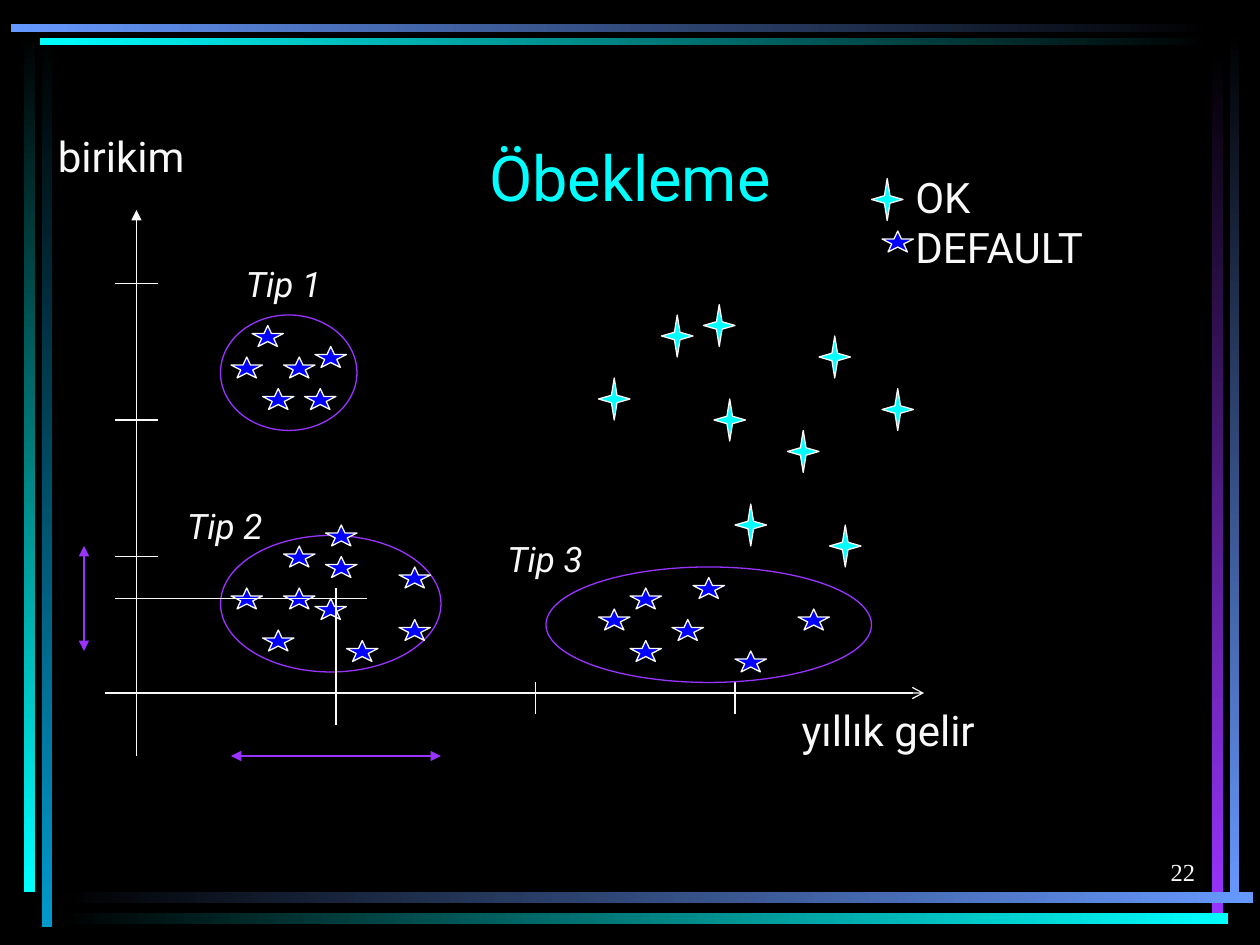
from lxml import etree
from pptx import Presentation
from pptx import util as u
from pptx.dml.color import RGBColor
from pptx.enum import shapes, text
from pptx.oxml import ns

COLORS = {
    "black": "000000", "white": "F8F8F8", "cyan": "00FFFF", "teal": "0099CC",
    "sky": "6699FF", "purple": "9933FF", "blue": "0000FF",
}
GRID = 6  # points per grid step of the plot
STAR = shapes.MSO_SHAPE.STAR_5_POINT
SPARK = shapes.MSO_SHAPE.STAR_4_POINT
MARKERS = {"default": (STAR, 3, 2, "blue"), "ok": (SPARK, 3, 4, "cyan")}

# Grid positions relative to the plot's top left corner:
# ellipse, label box in points, label, stars
CLUSTERS = [
    ((11, 10, 13, 11), (61, 26, 82, 32), "Tip 1",
     [(14, 11), (15, 17), (17, 14), (19, 17), (12, 14), (20, 13)]),
    ((11, 31, 21, 13), (5, 164, 127, 32), "Tip 2",
     [(21, 30), (21, 33), (15, 40), (17, 36), (12, 36), (20, 37),
      (17, 32), (28, 34), (28, 39), (23, 41)]),
    ((42, 34, 31, 11), (206, 181, 91, 36), "Tip 3",
     [(47, 38), (60, 42), (66, 38), (50, 41), (50, 36), (56, 35), (54, 39)]),
]
OK_POINTS = [(57, 9), (47, 16), (60, 28), (68, 12), (58, 18),
             (74, 17), (53, 10), (65, 21), (69, 30)]


def rgb(name):
    return RGBColor.from_string(COLORS[name])


def add_preset(slide, kind, box, fill=None, line=None):
    shape = slide.shapes.add_shape(kind, *[u.Pt(value) for value in box])
    shape.shadow.inherit = False
    if fill:
        shape.fill.solid()
        shape.fill.fore_color.rgb = rgb(fill)
    else:
        shape.fill.background()
    if line:
        shape.line.color.rgb = rgb(line)
        shape.line.width = u.Pt(0.75)
    else:
        shape.line.fill.background()
    return shape


def add_line(slide, start, end, color="white", head=None, tail=None):
    connector = slide.shapes.add_connector(
        shapes.MSO_CONNECTOR.STRAIGHT, *[u.Pt(value) for value in (*start, *end)])
    connector.line.color.rgb = rgb(color)
    connector.line.width = u.Pt(0.75)
    outline = connector.line._get_or_add_ln()
    for tag, arrow in (("a:headEnd", head), ("a:tailEnd", tail)):
        if arrow:
            etree.SubElement(outline, ns.qn(tag), type=arrow)
    etree.SubElement(connector._element.spPr, ns.qn("a:effectLst"))


def add_text(slide, box, lines, size, color="white", font="Roboto", italic=False,
             align=text.PP_ALIGN.LEFT, anchor=text.MSO_ANCHOR.MIDDLE, wrap=True):
    frame = slide.shapes.add_textbox(*[u.Pt(value) for value in box]).text_frame
    frame.word_wrap = wrap
    frame.vertical_anchor = anchor
    frame.text = "\n".join(lines)
    for paragraph in frame.paragraphs:
        paragraph.alignment = align
        paragraph.font.name = font
        paragraph.font.size = u.Pt(size)
        paragraph.font.italic = italic
        paragraph.font.color.rgb = rgb(color)


def add_marker(slide, kind, left, top):
    preset, width, height, fill = MARKERS[kind]
    add_preset(slide, preset, (left, top, width * GRID, height * GRID), fill, "white")


def draw_frame(slide, width, height):
    """Fading bars along the four edges of the slide."""
    bars = [  # box, first colour, last colour
        ((24, 20, 6, 510), "black", "teal"),
        ((14, 18, 6, 492), "black", "cyan"),
        ((width - 17, 17, 5, 499), "black", "sky"),
        ((width - 27.5, 30, 6.5, 492), "black", "purple"),
        ((32, height - 30, 684, 6), "black", "sky"),
        ((32, height - 18, 670, 6), "black", "cyan"),
        ((23, 22, 671, 4), "cyan", "black"),
        ((6, 13.5, 688, 5), "sky", "black"),
    ]
    for box, first, last in bars:
        fill = add_preset(slide, shapes.MSO_SHAPE.RECTANGLE, box).fill
        fill.gradient()
        fill.gradient_angle = 270 if box[3] > box[2] else 0
        for stop, color in zip(fill.gradient_stops, (first, last)):
            stop.color.rgb = rgb(color)


def draw_plot(slide, left, top, columns, rows):
    """Axes, clusters and single points of the scatter plot."""
    def place(column, row):
        return left + column * GRID, top + row * GRID

    def rule(start, end, **style):
        add_line(slide, place(*start), place(*end), **style)

    def label(box, words, size, **style):
        add_text(slide, (left + box[0], top + box[1], *box[2:]), [words], size, **style)

    # Axes with their ticks and names
    axis_column, axis_row = 3, 46
    rule((axis_column, 0), (axis_column, rows), head="triangle")
    rule((0, axis_row), (columns, axis_row), tail="arrow")
    for row in (7, 20, 33):
        rule((axis_column - 2, row), (axis_column + 2, row))
    for column in (22, 41, 60):
        rule((column, axis_row - 1), (column, axis_row + 2))
    label((-34, -49, 93, 36), "birikim", 24, wrap=False)
    label((391, 279, 121, 36), "yıllık gelir", 24, wrap=False)

    # Clusters of defaults
    for (column, row, wide, high), label_box, name, stars in CLUSTERS:
        add_preset(slide, shapes.MSO_SHAPE.OVAL,
                   (*place(column, row), wide * GRID, high * GRID), line="purple")
        for star in stars:
            add_marker(slide, "default", *place(*star))
        label(label_box, name, 20, italic=True, align=text.PP_ALIGN.CENTER)

    # Good customers
    for point in OK_POINTS:
        add_marker(slide, "ok", *place(*point))

    # Centre and range of the second cluster
    rule((1, 37), (25, 37))
    rule((22, 36), (22, 49))
    for start, end in (((12, 52), (32, 52)), ((-2, 32), (-2, 42))):
        rule(start, end, color="purple", head="triangle", tail="triangle")


def draw_legend(slide, left, top):
    add_text(slide, (left + 18, top, 117, 65), ["OK", "DEFAULT"], 24, wrap=False)
    add_marker(slide, "ok", left, top + 8)
    add_marker(slide, "default", left + 6, top + 38)


def main():
    presentation = Presentation()
    presentation.slide_width, presentation.slide_height = u.Pt(720), u.Pt(540)
    slide = presentation.slides.add_slide(presentation.slide_layouts[6])
    slide.background.fill.solid()
    slide.background.fill.fore_color.rgb = rgb("black")

    draw_frame(slide, 720, 540)
    add_text(slide, (54, 48, 612, 78), ["Öbekleme"], 36, color="cyan",
             align=text.PP_ALIGN.CENTER, anchor=text.MSO_ANCHOR.BOTTOM)
    draw_plot(slide, 60, 120, 78, 52)
    draw_legend(slide, 498, 94)
    add_text(slide, (540, 474, 150, 36), ["22"], 14, font="Times New Roman",
             align=text.PP_ALIGN.RIGHT, anchor=text.MSO_ANCHOR.BOTTOM)
    presentation.save("out.pptx")


if __name__ == "__main__":
    main()
